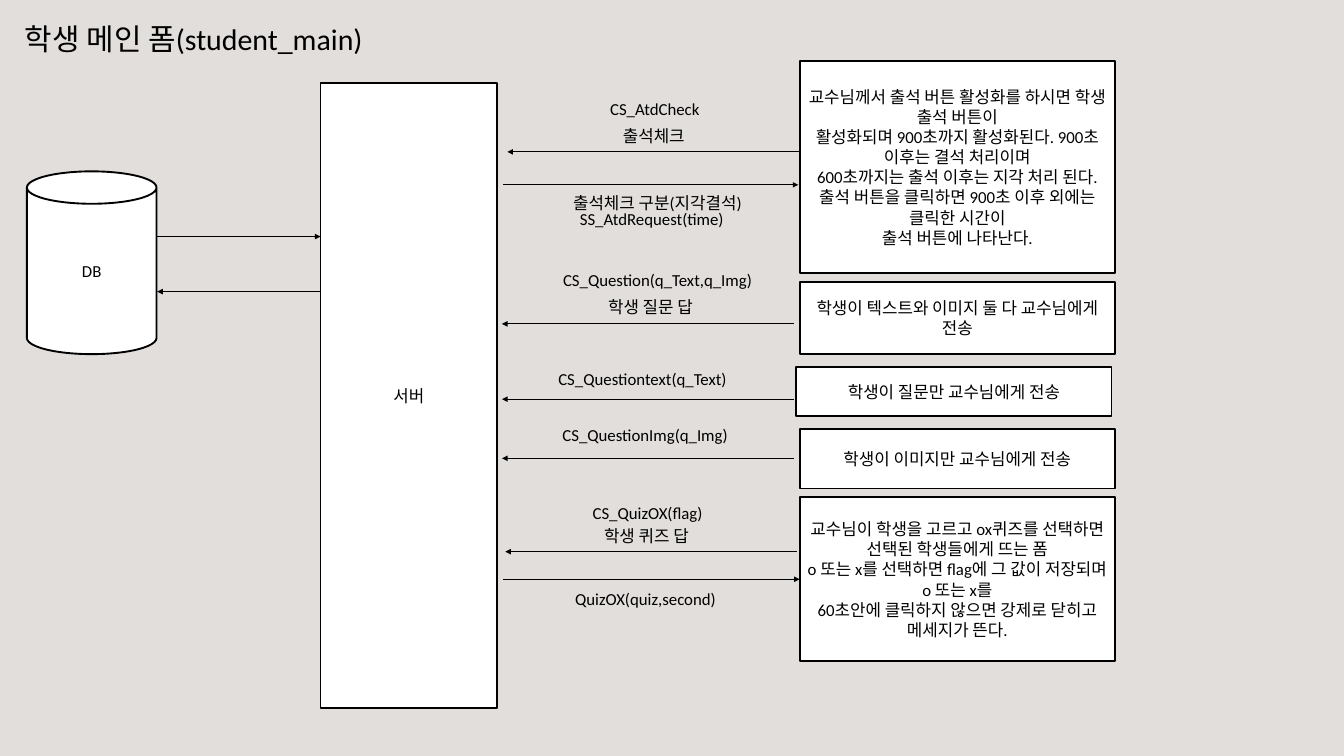
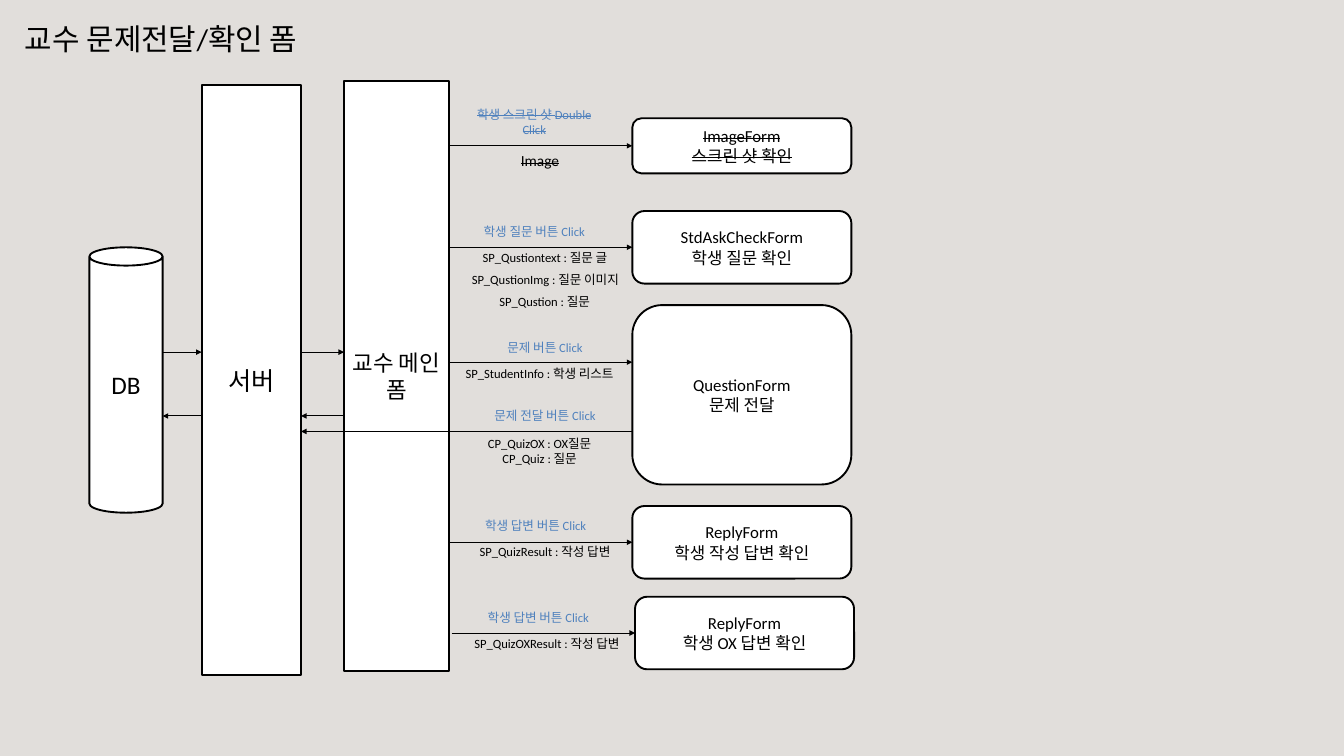
from dataclasses import dataclass

from lxml.etree import SubElement
from pptx import Presentation
from pptx.dml.color import RGBColor
from pptx.enum.shapes import MSO_CONNECTOR, MSO_SHAPE
from pptx.enum.text import MSO_ANCHOR, MSO_AUTO_SIZE, PP_ALIGN
from pptx.oxml.ns import qn
from pptx.util import Inches, Pt


@dataclass(frozen=True)
class Theme:
    background: RGBColor = RGBColor.from_string("E1DEDB")
    ink: RGBColor = RGBColor.from_string("000000")
    paper: RGBColor = RGBColor.from_string("FFFFFF")
    click: RGBColor = RGBColor.from_string("4F81BD")
    font: str = "Calibri"
    korean_font: str = "Noto Sans CJK KR"
    title: float = 32
    server: float = 27
    main_form: float = 24
    body: float = 18
    image_note: float = 16.5
    note: float = 13.5
    outline: float = 2
    arrow: float = 1


def apply(target, values):
    for name, value in values.items():
        setattr(target, name, value)


class Diagram:
    def __init__(self, theme):
        self.theme = theme
        self.deck = Presentation()
        apply(self.deck, {"slide_width": Inches(20), "slide_height": Inches(11.25)})
        self.fill(self.deck.slide_master.background, theme.background)
        self.slide = None

    def fill(self, target, color):
        target.fill.solid()
        target.fill.fore_color.rgb = color

    def outline(self, shape, width):
        shape.line.color.rgb = self.theme.ink
        shape.line.width = Pt(width)

    def set_text(self, shape, text, size, align, frame, color=None, font=None, strike=False):
        shape.text_frame.text = text
        apply(shape.text_frame, frame)
        for paragraph in shape.text_frame.paragraphs:
            paragraph.alignment = align
            for run in paragraph.runs:
                apply(run.font, {"name": font or self.theme.font, "size": Pt(size)})
                run.font.color.rgb = color or self.theme.ink
        if strike:
            for properties in shape.element.iter(qn("a:rPr")):
                properties.set("strike", "sngStrike")

    def start(self, title, width):
        self.slide = self.deck.slides.add_slide(self.deck.slide_layouts[5])
        heading = self.slide.shapes.title
        apply(heading, {"left": Inches(0.27), "top": Inches(0.25),
                        "width": Inches(width), "height": Inches(0.64)})
        frame = {"word_wrap": True, "vertical_anchor": MSO_ANCHOR.TOP,
                 "auto_size": MSO_AUTO_SIZE.SHAPE_TO_FIT_TEXT}
        self.set_text(heading, title, self.theme.title, PP_ALIGN.LEFT, frame)

    def box(self, place, text, size=None, kind=MSO_SHAPE.RECTANGLE, **style):
        shape = self.slide.shapes.add_shape(kind, *map(Inches, place))
        shape.shadow.inherit = False
        self.fill(shape, self.theme.paper)
        self.outline(shape, self.theme.outline)
        frame = {"word_wrap": True, "vertical_anchor": MSO_ANCHOR.MIDDLE}
        self.set_text(shape, text, size or self.theme.body, PP_ALIGN.CENTER, frame, **style)
        return shape

    def label(self, place, text, size=None, align=PP_ALIGN.LEFT, wrap=True, **style):
        shape = self.slide.shapes.add_textbox(*map(Inches, place))
        frame = {"word_wrap": wrap, "auto_size": MSO_AUTO_SIZE.SHAPE_TO_FIT_TEXT}
        self.set_text(shape, text, size or self.theme.body, align, frame, **style)

    def note(self, place, text, size=None, **style):
        self.label(place, text, size or self.theme.note, PP_ALIGN.CENTER, **style)

    def arrow(self, start, end, y, target=None):
        line = self.slide.shapes.add_connector(
            MSO_CONNECTOR.STRAIGHT, Inches(start), Inches(y), Inches(end), Inches(y))
        self.outline(line, self.theme.arrow)
        properties = line.element.spPr
        SubElement(properties.find(qn("a:ln")), qn("a:tailEnd"), type="triangle")
        SubElement(properties, qn("a:effectLst"))
        if target is not None:
            line.end_connect(target, 1)


def student_main(diagram):
    diagram.start("학생 메인 폼(student_main)", 5.46)
    diagram.box((0.4, 2.55, 1.93, 2.72), "DB", kind=MSO_SHAPE.CAN)
    diagram.box((4.77, 1.23, 2.63, 9.31), "서버")
    diagram.arrow(2.34, 4.77, 3.52)
    diagram.arrow(4.77, 2.34, 4.34)

    steps = [
        (11.9, 0.91, 3.15, "교수님께서 출석 버튼 활성화를 하시면 학생 출석 버튼이\n"
         "활성화되며 900초까지 활성화된다. 900초 이후는 결석 처리이며\n"
         "600초까지는 출석 이후는 지각 처리 된다.\n"
         "출석 버튼을 클릭하면 900초 이후 외에는 클릭한 시간이\n"
         "출석 버튼에 나타난다."),
        (11.9, 4.19, 1.08, "학생이 텍스트와 이미지 둘 다 교수님에게 전송"),
        (11.85, 5.46, 0.73, "학생이 질문만 교수님에게 전송"),
    ]
    for left, top, height, text in steps:
        diagram.box((left, top, 4.69, height), text)
    diagram.box((11.9, 6.38, 4.69, 0.89), "학생이 이미지만 교수님에게 전송",
                font=diagram.theme.korean_font)
    quiz = diagram.box(
        (11.9, 7.4, 4.69, 2.44),
        "교수님이 학생을 고르고 ox퀴즈를 선택하면\n"
        "선택된 학생들에게 뜨는 폼\n"
        "o 또는 x를 선택하면 flag에 그 값이 저장되며 o 또는 x를\n"
        "60초안에 클릭하지 않으면 강제로 닫히고 메세지가 뜬다.")

    for start, end, y in [(11.9, 7.55, 2.26), (7.49, 11.88, 2.75), (11.81, 7.47, 4.82),
                          (11.81, 7.47, 5.94), (11.81, 7.47, 6.82), (11.86, 7.52, 8.21)]:
        diagram.arrow(start, end, y)
    diagram.arrow(7.49, 11.9, 8.62, quiz)

    messages = [
        (8.98, 1.42, "CS_AtdCheck"),
        (8.53, 3.05, "SS_AtdRequest(time)"),
        (8.28, 3.97, "CS_Question(q_Text,q_Img)"),
        (8.27, 6.27, "CS_QuestionImg(q_Img)"),
        (8.46, 8.71, "QuizOX(quiz,second)"),
    ]
    for left, top, text in messages:
        diagram.label((left, top, 3.22, 0.41), text)
    fitted_messages = [
        (9.17, 1.82, 1.21, "출석체크"),
        (8.43, 2.82, 2.94, "출석체크 구분(지각결석)"),
        (8.95, 4.36, 1.58, "학생 질문 답"),
        (8.21, 5.44, 2.74, "CS_Questiontext(q_Text)"),
        (8.72, 7.43, 1.86, "CS_QuizOX(flag)"),
        (8.89, 7.78, 1.58, "학생 퀴즈 답"),
    ]
    for left, top, width, text in fitted_messages:
        diagram.label((left, top, width, 0.4), text, wrap=False)


def professor_forms(diagram):
    theme = diagram.theme
    diagram.start("교수 문제전달/확인 폼", 6.32)
    diagram.box((1.33, 3.68, 1.09, 3.95), "DB", theme.server, MSO_SHAPE.CAN)
    diagram.box((3, 1.27, 1.48, 8.78), "서버", theme.server)
    diagram.box((5.12, 1.2, 1.56, 8.78), "교수 메인 폼", theme.main_form)
    for left, right in [(2.42, 3), (4.48, 5.12)]:
        diagram.arrow(left, right, 5.24)
        diagram.arrow(right, left, 6.19)

    forms = [
        (9.41, 1.76, 0.82, "ImageForm\n스크린 샷 확인", True),
        (9.41, 3.14, 1.08, "StdAskCheckForm\n학생 질문 확인", False),
        (9.41, 7.53, 1.08, "ReplyForm\n학생 작성 답변 확인", False),
        (9.45, 8.88, 1.08, "ReplyForm\n학생 OX 답변 확인", False),
    ]
    for left, top, height, text, strike in forms:
        form = diagram.box((left, top, 3.26, height), text,
                           kind=MSO_SHAPE.ROUNDED_RECTANGLE, strike=strike)
        diagram.arrow(left - 2.73, left, top + height / 2, form)
    diagram.box((9.41, 4.54, 3.26, 2.67), "QuestionForm\n문제 전달",
                kind=MSO_SHAPE.ROUNDED_RECTANGLE)
    diagram.arrow(6.68, 9.41, 5.39)
    diagram.arrow(9.41, 4.48, 6.42)

    diagram.note((6.94, 1.54, 2.02, 0.56), "학생 스크린 샷 Double Click",
                 color=theme.click, strike=True)
    diagram.note((7.5, 2.2, 1.07, 0.38), "Image", theme.image_note, strike=True)
    clicks = [
        (6.94, 3.29, "학생 질문 버튼 Click"),
        (7.1, 5.01, "문제 버튼 Click"),
        (7.1, 6.02, "문제 전달 버튼 Click"),
        (6.96, 7.66, "학생 답변 버튼 Click"),
        (7, 9.02, "학생 답변 버튼 Click"),
    ]
    for left, top, text in clicks:
        diagram.note((left, top, 2.02, 0.33), text, color=theme.click)
    messages = [
        (6.38, 3.67, 3.46, 0.33, "SP_Qustiontext : 질문 글"),
        (6.51, 3.99, 3.21, 0.33, "SP_QustionImg : 질문 이미지"),
        (6.71, 4.32, 2.79, 0.33, "SP_Qustion : 질문"),
        (6.5, 5.39, 3.06, 0.33, "SP_StudentInfo : 학생 리스트"),
        (6.5, 6.44, 3.06, 0.56, "CP_QuizOX : OX질문\nCP_Quiz : 질문"),
        (6.38, 8.05, 3.46, 0.33, "SP_QuizResult : 작성 답변"),
        (6.41, 9.41, 3.46, 0.33, "SP_QuizOXResult : 작성 답변"),
    ]
    for *place, text in messages:
        diagram.note(place, text)


def main():
    diagram = Diagram(Theme())
    student_main(diagram)
    professor_forms(diagram)
    diagram.deck.save("out.pptx")


if __name__ == "__main__":
    main()
